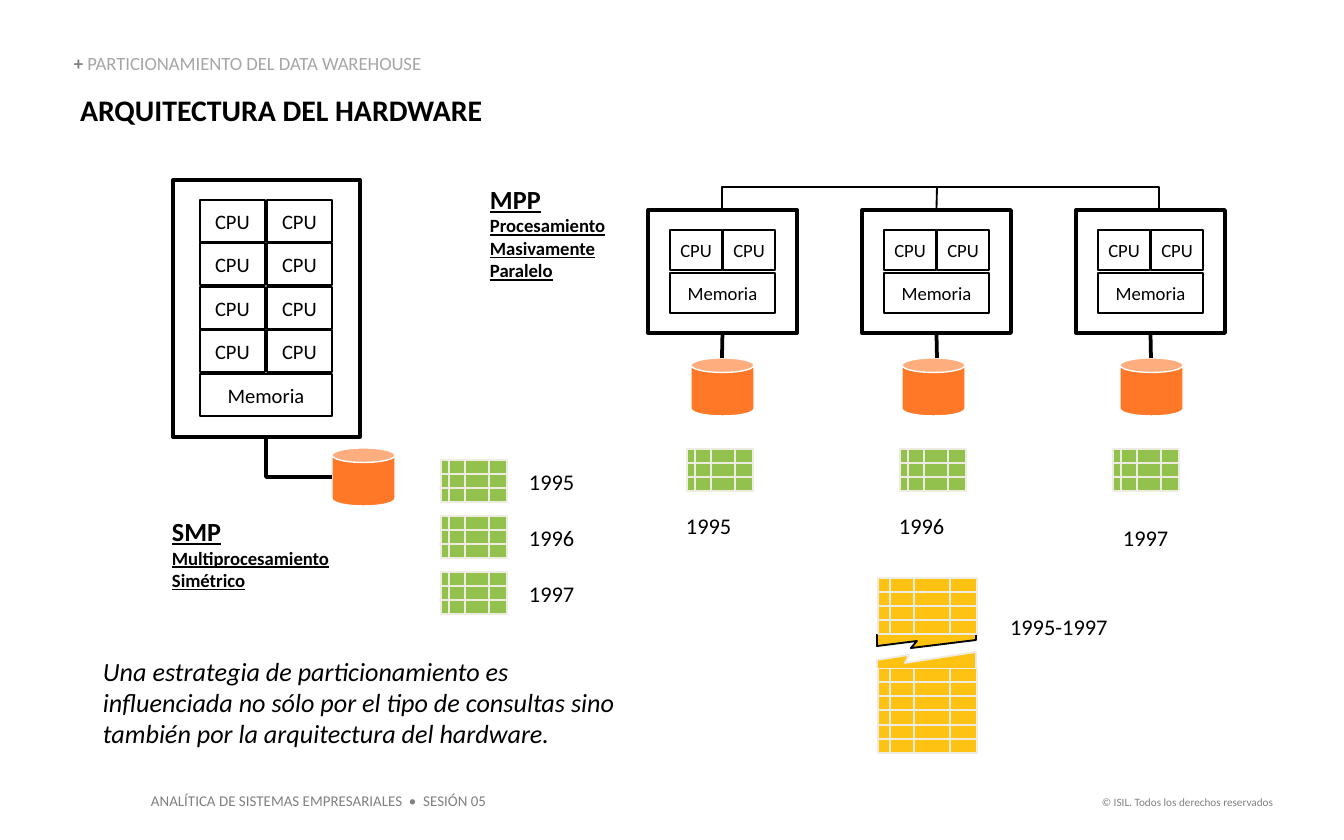
"""Build the slide on SMP and MPP hardware for data partitioning."""
import lxml.etree
import pptx
import pptx.dml.color
import pptx.enum.shapes
import pptx.enum.text
import pptx.oxml.ns
import pptx.util

UNIT = 9144000 / 1344
HUES = {"black": "000000", "white": "FFFFFF", "cream": "EEECE1", "gold": "FDC212",
        "green": "92C14E", "orange": "FE7828", "gray": "808080", "silver": "A6A6A6"}
RGB = {name: pptx.dml.color.RGBColor.from_string(code) for name, code in HUES.items()}
FORMS = {"rect": pptx.enum.shapes.MSO_SHAPE.RECTANGLE, "can": pptx.enum.shapes.MSO_SHAPE.CAN}
LINKS = {"line": pptx.enum.shapes.MSO_CONNECTOR.STRAIGHT,
         "bent": pptx.enum.shapes.MSO_CONNECTOR.ELBOW}
ALIGN = pptx.enum.text.PP_ALIGN
ANCHOR = pptx.enum.text.MSO_ANCHOR
FIT = pptx.enum.text.MSO_AUTO_SIZE


def draw(host, kind, area, wide=1, edge="black", fill=None):
    spot = [round(v * UNIT) for v in area]
    if kind == "text":
        return host.add_textbox(*spot)
    if kind in LINKS:
        item = host.add_connector(LINKS[kind], *spot)
    elif kind == "free":
        pen = host.build_freeform(*spot[:2])
        pen.add_line_segments(list(zip(spot[2::2], spot[3::2])), close=False)
        item = pen.convert_to_shape()
    else:
        item = host.add_shape(FORMS[kind], *spot)
    item.line.color.rgb = RGB[edge]
    item.line.width = pptx.util.Pt(wide)
    if kind in LINKS:
        lxml.etree.SubElement(item._element.spPr, pptx.oxml.ns.qn("a:effectLst"))
        return item
    item.shadow.inherit = False
    if fill:
        item.fill.solid()
        item.fill.fore_color.rgb = RGB[fill]
    else:
        item.fill.background()
    return item


def write(item, rows, hue="black", align=ALIGN.LEFT, pad=(13, 7), look=None, frame=None):
    side, rim = (round(v * UNIT) for v in pad)
    body = item.text_frame
    setup = {"margin_left": side, "margin_right": side, "margin_top": rim,
             "margin_bottom": rim, "word_wrap": True}
    for key, val in {**setup, **(frame or {})}.items():
        setattr(body, key, val)
    for num, (text, size) in enumerate(rows):
        para = body.add_paragraph() if num else body.paragraphs[0]
        para.alignment = align
        run = para.add_run()
        run.text = text
        run.font.color.rgb = RGB[hue]
        font = {"name": "Calibri", "size": pptx.util.Pt(size), **(look or {})}
        for key, val in font.items():
            setattr(run.font, key, val)
    return body


deck = pptx.Presentation()
deck.slide_width, deck.slide_height = round(1344 * UNIT), round(840 * UNIT)
slide = deck.slides.add_slide(deck.slide_layouts[6])
page = slide.shapes
grow = {"auto_size": FIT.SHAPE_TO_FIT_TEXT}
mid = {"vertical_anchor": ANCHOR.MIDDLE}

for text, area, size, align in [
        ("ANALÍTICA DE SISTEMAS EMPRESARIALES  •  SESIÓN 05", (138, 785, 363, 32), 8, ALIGN.LEFT),
        ("© ISIL. Todos los derechos reservados", (1085, 789, 201, 27), 6, ALIGN.RIGHT)]:
    write(draw(page, "text", area), [(text, size)], "gray", align,
          frame={**grow, "word_wrap": False})

torn = page.add_group_shape().shapes
draw(torn, "free", (877, 634, 877, 646, 917, 641, 911, 648, 976, 640, 976, 634), fill="gold")
grids = [(torn, 878, 578, 99, 56, 4, "gold"), (torn, 878, 668, 99, 85, 6, "gold")]
for step in range(3):
    for left, top in [(441, 460 + 56 * step), (687 + 213 * step, 449)]:
        grids.append((page.add_group_shape().shapes, left, top, 66, 42, 3, "green"))
for host, left, top, wide, high, count, hue in grids:
    draw(host, "rect", (left, top, wide, high), edge="cream", fill=hue)
    for row in range(1, count):
        y = top + round(high * row / count)
        draw(host, "line", (left - 1, y, left + wide + 1, y), edge="cream")
    for share in (0.12, 0.36, 0.73):
        x = left + round(wide * share)
        draw(host, "line", (x, top - 1, x, top + high + 1), edge="cream")
draw(torn, "free", (877, 668, 877, 660, 909, 655, 905, 663, 976, 652, 976, 668),
     edge="cream", fill="gold")

draw(page, "free", (722, 208, 722, 187, 1159, 187, 1159, 208))
nodes = [draw(page, "rect", (648 + 214 * n, 210, 149, 123), 2) for n in range(3)]
draw(page, "line", (937, 187, 937, 210)).end_connect(nodes[1], 0)
draw(page, "rect", (173, 180, 187, 257), 2)

cells = []
for n in range(3):
    left = 670 + 214 * n
    cells += [("CPU", (left, 230, 52, 40), 10, 0), ("CPU", (left + 53, 230, 52, 40), 10, 0),
              ("Memoria", (left, 273, 105, 40), 10, 13)]
for row in range(4):
    cells += [("CPU", (x, 200 + 87 * row // 2, 65, 42), 11, 13) for x in (200, 267)]
cells.append(("Memoria", (200, 374, 132, 42), 11, 13))
for text, area, size, side in cells:
    write(draw(page, "rect", area), [(text, size)], align=ALIGN.CENTER, pad=(side, 7), frame=mid)

years = [("1995-1997", 997, 606, 152), ("1995", 673, 505, 85),
         ("1996", 886, 505, 85), ("1997", 1110, 517, 85)]
years += [(str(1995 + n), 516, 461 + 56 * n, 85) for n in range(3)]
for text, left, top, wide in years:
    write(draw(page, "text", (left, top, wide, 40)), [(text, 12)], frame=grow)

write(draw(page, "text", (103, 655, 536, 95)),
      [("Una estrategia de particionamiento es influenciada no sólo por el tipo de consultas "
        "sino también por la arquitectura del hardware.", 14)],
      pad=(0, 0), look={"italic": True}, frame=grow)
for area, rows in [
        ((159, 508, 214, 93), [("SMP", 14), ("Multiprocesamiento", 10), ("Simétrico", 10)]),
        ((477, 176, 169, 113), [("MPP", 14), ("Procesamiento", 10), ("Masivamente", 10),
                                ("Paralelo", 10)])]:
    write(draw(page, "text", area), rows, look={"bold": True, "underline": True}, frame=grow)
write(draw(page, "text", (67, 85, 435, 50)), [("ARQUITECTURA DEL HARDWARE", 16)],
      look={"bold": True}, frame=grow)

head = write(draw(page, "text", (74, 55, 358, 20)), [("+ ", 10)], "gray", pad=(0, 0),
             look={"bold": True}, frame={**grow, "vertical_anchor": ANCHOR.BOTTOM})
head.paragraphs[0].line_spacing = 0.9
topic = head.paragraphs[0].add_run()
topic.text = "PARTICIONAMIENTO DEL DATA WAREHOUSE"
topic.font.color.rgb = RGB["silver"]
for key, val in {"name": "Calibri", "size": pptx.util.Pt(10), "bold": False}.items():
    setattr(topic.font, key, val)

for left, top in [(691, 358), (902, 358), (1120, 358), (332, 448)]:
    draw(page, "can", (left, top, 63, 58), 0.75, "white", "orange")
elbow = draw(page, "bent", (319, 424, 279, 490), 2)._element.spPr
elbow.prstGeom.set("prst", "bentConnector2")
elbow.xfrm.set("rot", "16200000")
for node, x in zip(nodes, (722, 937, 1151)):
    draw(page, "line", (x, 333, x, 358), 2).begin_connect(node, 2)

deck.save("out.pptx")
